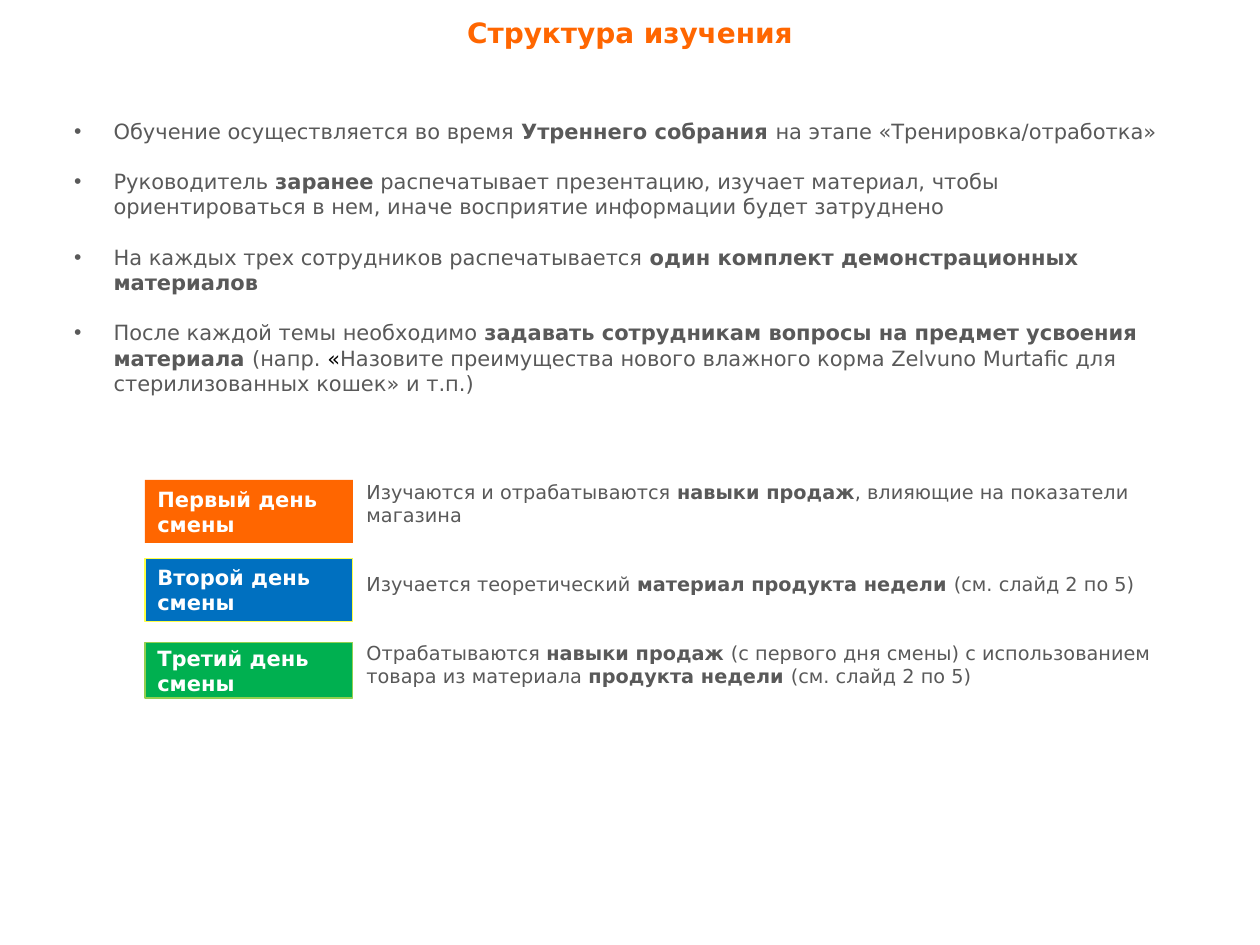
from dataclasses import dataclass

from lxml.etree import SubElement
from pptx import Presentation
from pptx.dml.color import RGBColor as RGB
from pptx.enum.shapes import MSO_SHAPE as Shape
from pptx.enum.text import MSO_ANCHOR as Anchor, MSO_AUTO_SIZE as AutoSize, PP_ALIGN as Align
from pptx.oxml.ns import qn
from pptx.util import Pt


@dataclass(frozen=True)
class Theme:
    font: str = "DejaVu Sans"
    accent: str = "FF6600"
    body: str = "595959"
    black: str = "000000"
    white: str = "FFFFFF"
    title_size: int = 16
    bullet_size: int = 12
    label_size: int = 12
    note_size: int = 11


THEME = Theme()

# Texts: ** switches bold on and off, ^ switches black on and off
TITLE = "Структура изучения"
RULES = [
    "Обучение осуществляется во время **Утреннего собрания **на этапе «Тренировка/отработка»",
    "Руководитель **заранее** распечатывает презентацию, изучает материал, чтобы "
    "ориентироваться в нем, иначе восприятие информации будет затруднено",
    "На каждых трех сотрудников распечатывается **один комплект демонстрационных материалов**",
    "После каждой темы необходимо **задавать сотрудникам вопросы на предмет усвоения "
    "материала **(напр. ^«^Назовите преимущества нового влажного корма Zelvuno Murtafic "
    "для стерилизованных кошек» и т.п.)",
]
NOTES = [
    "Изучаются и отрабатываются **навыки продаж**, влияющие на показатели магазина",
    "Изучается теоретический **материал продукта недели **(см. слайд 2 по 5)",
    "Отрабатываются **навыки продаж **(с первого дня смены) с использованием товара "
    "из материала **продукта недели **(см. слайд 2 по 5)",
]
# Label, top, height, fill, line
DAYS = [
    ("Первый день смены", 274.3, 36, THEME.accent, None),
    ("Второй день смены", 319, 36, "0070C0", "FFFF47"),
    ("Третий день смены", 367.2, 31.7, "00B050", "92D050"),
]


def style_run(r, size, color, bold=False):
    r.font.name = THEME.font
    r.font.size = Pt(size)
    r.font.bold = bold
    r.font.color.rgb = RGB.from_string(color)


def add_marked_runs(p, text, size):
    for i, part in enumerate(text.split("**")):
        for j, piece in enumerate(part.split("^")):
            if piece:
                r = p.add_run()
                r.text = piece
                style_run(r, size, THEME.black if j % 2 else THEME.body, bool(i % 2))


def add_bullet(p, indent):
    pPr = p._p.get_or_add_pPr()
    pPr.set("marL", str(Pt(indent)))
    pPr.set("indent", str(-Pt(indent)))
    color = SubElement(pPr, qn("a:buClr"))
    SubElement(color, qn("a:srgbClr"), val=THEME.body)
    SubElement(pPr, qn("a:buFont"), typeface="Arial")
    SubElement(pPr, qn("a:buChar"), char="•")


def add_title(s, text):
    sp = s.shapes.title
    sp.left, sp.top, sp.width, sp.height = Pt(0), Pt(5), Pt(720), Pt(26.6)
    tf = sp.text_frame
    tf.text = text
    tf.auto_size = AutoSize.NONE
    tf.vertical_anchor = Anchor.TOP
    p = tf.paragraphs[0]
    p.alignment = Align.CENTER
    style_run(p.runs[0], THEME.title_size, THEME.accent, True)


def add_paragraphs(s, box, texts, size, gap, indent=0):
    tf = s.shapes.add_textbox(*map(Pt, box)).text_frame
    tf.word_wrap = True
    for i, text in enumerate(texts):
        p = tf.add_paragraph() if i else tf.paragraphs[0]
        if i:
            p.space_before = Pt(gap)
        if indent:
            add_bullet(p, indent)
        add_marked_runs(p, text, size)


def add_day(s, text, top, height, fill, line):
    sp = s.shapes.add_shape(Shape.RECTANGLE, Pt(82.8), Pt(top), Pt(118.8), Pt(height))
    sp.shadow.inherit = False
    sp.fill.solid()
    sp.fill.fore_color.rgb = RGB.from_string(fill)
    if line:
        sp.line.color.rgb = RGB.from_string(line)
        sp.line.width = Pt(0.75)
    else:
        sp.line.fill.background()
    tf = sp.text_frame
    tf.text = text
    tf.word_wrap = True
    tf.vertical_anchor = Anchor.MIDDLE
    p = tf.paragraphs[0]
    p.alignment = Align.LEFT
    style_run(p.runs[0], THEME.label_size, THEME.white, True)


def main():
    prs = Presentation()
    prs.slide_width, prs.slide_height = Pt(720), Pt(540)
    s = prs.slides.add_slide(prs.slide_layouts[5])

    # Heading and rules of the training
    add_title(s, TITLE)
    add_paragraphs(s, (35.3, 64.1, 651.6, 151.2), RULES, THEME.bullet_size, 14.4, indent=22.5)

    # Days of the shift with their notes
    add_paragraphs(s, (202.3, 270.7, 481.7, 113), NOTES, THEME.note_size, 26.3)
    for day in DAYS:
        add_day(s, *day)

    prs.save("out.pptx")


if __name__ == "__main__":
    main()
